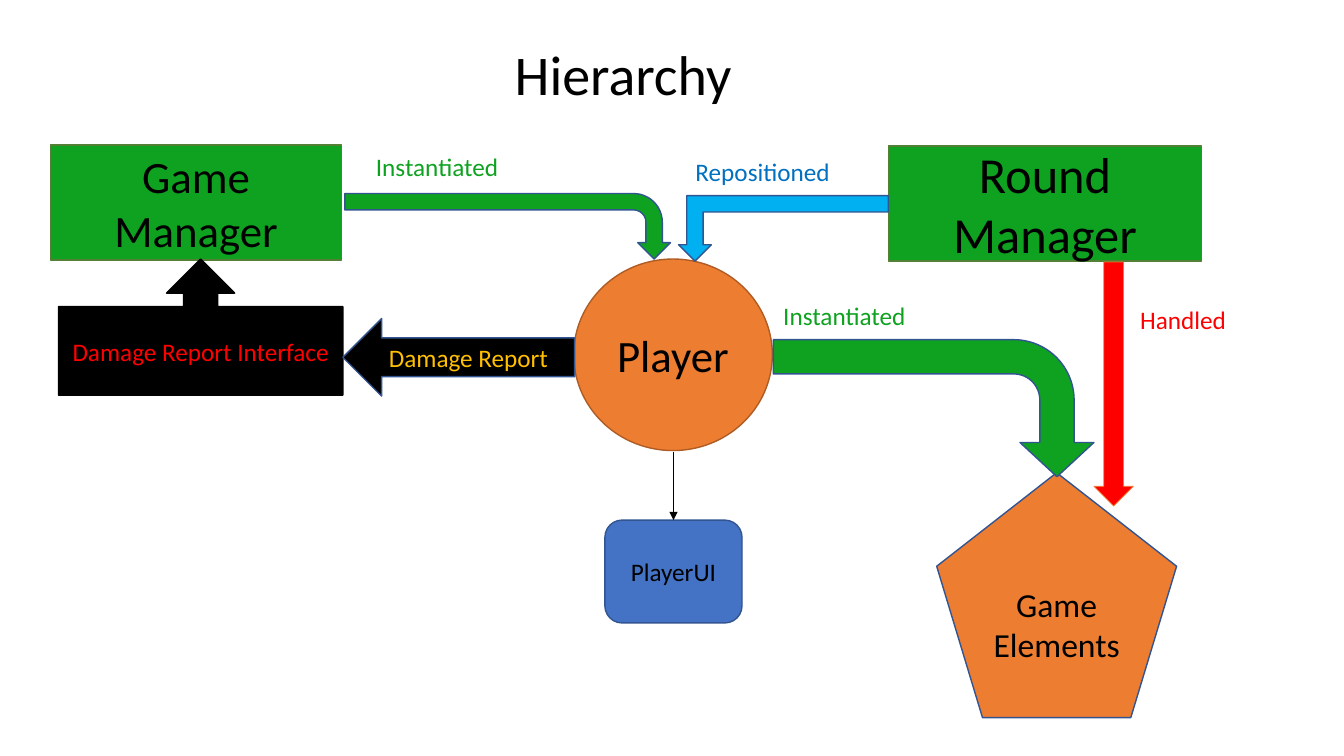
from pptx import Presentation
from pptx.dml.color import RGBColor
from pptx.enum.shapes import MSO_CONNECTOR, MSO_SHAPE
from pptx.enum.text import MSO_ANCHOR, MSO_AUTO_SIZE, PP_ALIGN
from pptx.oxml.ns import qn
from pptx.util import Inches, Pt
from lxml.etree import SubElement

BLACK = RGBColor(0x00, 0x00, 0x00)
GREEN = RGBColor(0x0E, 0xA2, 0x20)
DARK_GREEN = RGBColor(0x53, 0x80, 0x35)
ORANGE = RGBColor(0xED, 0x7D, 0x31)
DARK_ORANGE = RGBColor(0xAF, 0x5C, 0x24)
BLUE = RGBColor(0x44, 0x72, 0xC4)
DARK_BLUE = RGBColor(0x32, 0x54, 0x91)
SKY_BLUE = RGBColor(0x00, 0xB0, 0xF0)
TEXT_BLUE = RGBColor(0x00, 0x70, 0xC0)
RED = RGBColor(0xFF, 0x00, 0x00)
GOLD = RGBColor(0xFF, 0xC0, 0x00)


class HierarchySlide:
    font = "Calibri"

    def __init__(self, deck):
        self.page = deck.slides.add_slide(deck.slide_layouts[0])

    def add_text(self, frame, text, size, color, align):
        frame.word_wrap = True
        paragraph = frame.paragraphs[0]
        paragraph.alignment = align
        span = paragraph.add_run()
        span.text = text
        span.font.name = self.font
        span.font.size = Pt(size)
        span.font.color.rgb = color
        return paragraph

    def title(self, text, place):
        box = self.page.shapes.title
        box.left, box.top, box.width, box.height = map(Inches, place)
        frame = box.text_frame
        frame.auto_size = MSO_AUTO_SIZE.NONE
        frame.vertical_anchor = MSO_ANCHOR.BOTTOM
        self.add_text(frame, text, 40, BLACK, PP_ALIGN.CENTER).line_spacing = 0.9
        subtitle = self.page.placeholders[1].element
        subtitle.getparent().remove(subtitle)

    def shape(self, kind, place, fill, line, weight=1, rotation=0, adjustments=()):
        shape = self.page.shapes.add_shape(kind, *map(Inches, place))
        shape.shadow.inherit = False
        shape.fill.solid()
        shape.fill.fore_color.rgb = fill
        shape.line.color.rgb = line
        shape.line.width = Pt(weight)
        shape.rotation = rotation
        for index, value in enumerate(adjustments):
            shape.adjustments[index] = value
        return shape

    def node(self, kind, place, fill, line, text, size, color=BLACK):
        frame = self.shape(kind, place, fill, line).text_frame
        frame.vertical_anchor = MSO_ANCHOR.MIDDLE
        self.add_text(frame, text, size, color, PP_ALIGN.CENTER)

    def label(self, text, place, color):
        box = self.page.shapes.add_textbox(*map(Inches, place))
        self.add_text(box.text_frame, text, 18, color, PP_ALIGN.LEFT)
        box.text_frame.auto_size = MSO_AUTO_SIZE.SHAPE_TO_FIT_TEXT

    def arrow(self, start, end):
        arrow = self.page.shapes.add_connector(
            MSO_CONNECTOR.STRAIGHT, *map(Inches, start + end))
        arrow.line.color.rgb = BLACK
        arrow.line.width = Pt(0.5)
        properties = arrow.element.spPr
        SubElement(properties.find(qn("a:ln")), qn("a:tailEnd"), type="triangle")
        SubElement(properties, qn("a:effectLst"))


deck = Presentation()
deck.slide_width, deck.slide_height = Inches(13.33), Inches(7.5)
hierarchy = HierarchySlide(deck)

hierarchy.title("Hierarchy", (1.18, 0.28, 10, 0.84))

for node in (
    (MSO_SHAPE.RECTANGLE, (0.5, 1.44, 2.89, 1.14), GREEN, DARK_GREEN, "Game Manager", 32),
    (MSO_SHAPE.OVAL, (5.69, 2.57, 1.97, 1.9), ORANGE, DARK_ORANGE, "Player", 32),
    (MSO_SHAPE.RECTANGLE, (8.81, 1.45, 3.11, 1.14), GREEN, DARK_GREEN, "Round Manager", 36),
    (MSO_SHAPE.ROUNDED_RECTANGLE, (6, 5.16, 1.36, 1.02), BLUE, DARK_BLUE, "PlayerUI", 18),
    (MSO_SHAPE.UP_ARROW_CALLOUT, (0.58, 2.57, 2.82, 1.35), BLACK, BLACK,
     "Damage Report Interface", 18, RED),
    (MSO_SHAPE.LEFT_ARROW, (3.4, 3.16, 2.3, 0.77), BLACK, DARK_BLUE, "Damage Report", 18, GOLD),
    (MSO_SHAPE.REGULAR_PENTAGON, (9.29, 4.69, 2.38, 2.43), ORANGE, DARK_BLUE,
     "Game Elements", 24),
):
    hierarchy.node(*node)

hierarchy.arrow((6.68, 4.48), (6.68, 5.16))
hierarchy.shape(MSO_SHAPE.BENT_ARROW, (8.58, 2.46, 1.36, 3.18), GREEN, DARK_BLUE,
                rotation=90, adjustments=(0.25, 0.27, 0.25, 0.44))
hierarchy.shape(MSO_SHAPE.DOWN_ARROW, (10.85, 2.6, 0.39, 2.42), RED, ORANGE, weight=0.5)
hierarchy.shape(MSO_SHAPE.BENT_ARROW, (4.71, 0.63, 0.65, 3.23), GREEN, DARK_BLUE, rotation=90)
hierarchy.shape(MSO_SHAPE.BENT_UP_ARROW, (6.73, 1.94, 2.08, 0.65), SKY_BLUE, DARK_BLUE,
                rotation=180)

for label in (
    ("Handled", (11.21, 2.97, 1.59, 0.4), RED),
    ("Instantiated", (7.67, 2.93, 1.63, 0.4), GREEN),
    ("Instantiated", (3.63, 1.45, 2.62, 0.4), GREEN),
    ("Repositioned", (6.8, 1.5, 1.84, 0.4), TEXT_BLUE),
):
    hierarchy.label(*label)

deck.save("out.pptx")
